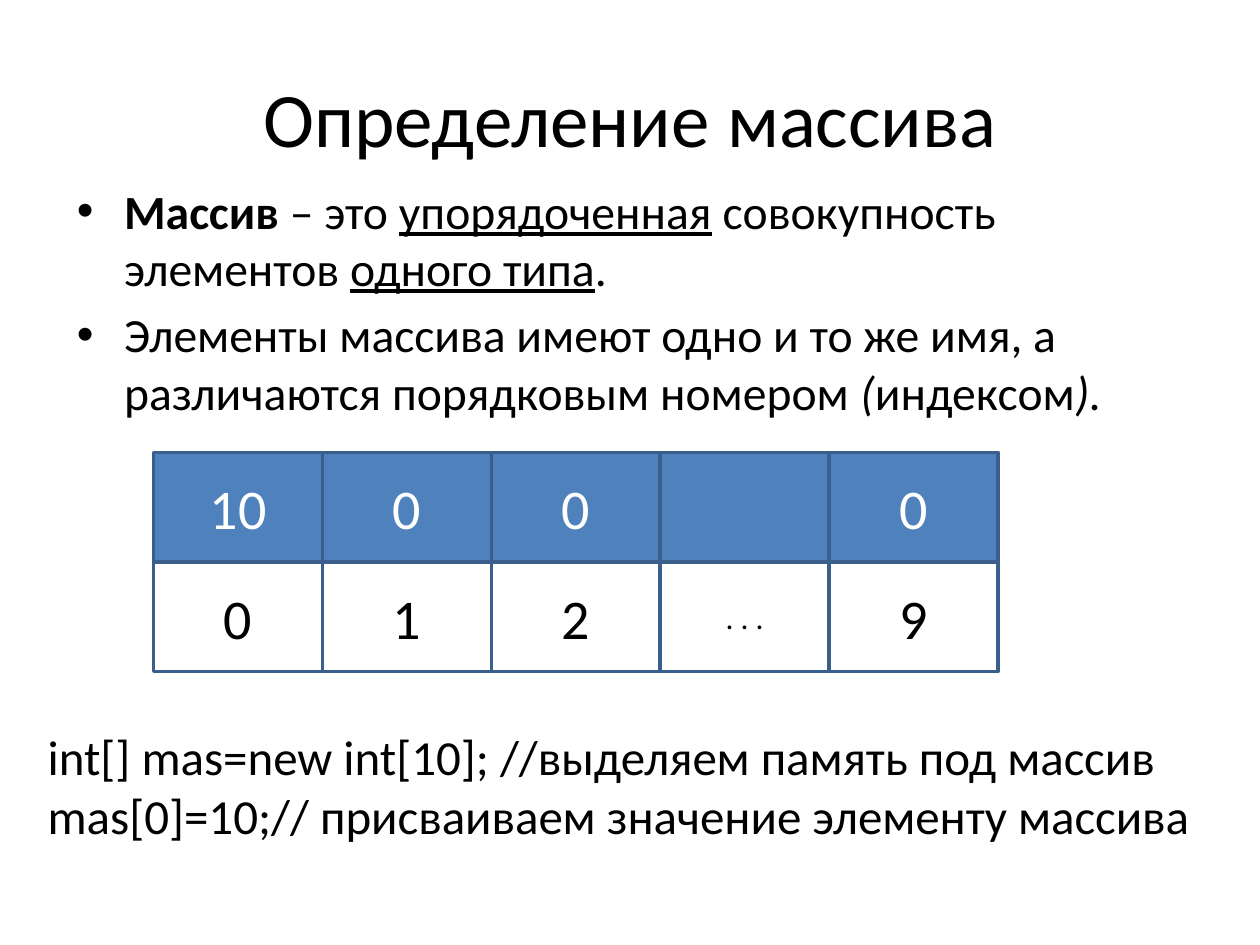
"""Build the slide that defines an array."""
from pptx import Presentation
from pptx.dml.color import RGBColor
from pptx.enum.shapes import MSO_SHAPE
from pptx.enum.text import MSO_ANCHOR, MSO_AUTO_SIZE, PP_ALIGN
from pptx.util import Inches, Pt


def rgb(value):
    return RGBColor.from_string(value)


def add_run(p, text, size=28, color="000000", **style):
    r = p.add_run()
    r.text = text
    r.font.name = "Calibri"
    r.font.size = Pt(size)
    r.font.color.rgb = rgb(color)
    for name, value in style.items():
        setattr(r.font, name, value)


prs = Presentation()
prs.slide_width, prs.slide_height = Inches(10), Inches(7.5)
slide = prs.slides.add_slide(prs.slide_layouts[1])

title, body = slide.placeholders
title.left, title.top = Inches(0.5), Inches(0.3)
title.width, title.height = Inches(9), Inches(1.25)
title.text_frame.vertical_anchor = MSO_ANCHOR.MIDDLE
p = title.text_frame.paragraphs[0]
p.alignment = PP_ALIGN.CENTER
add_run(p, "Определение массива", size=44)

body.left, body.top = Inches(0.51), Inches(1.39)
body.width, body.height = Inches(9), Inches(1.84)
bullets = [
    [("Массив", {"bold": True}), (" – это ", {}),
     ("упорядоченная", {"underline": True}),
     (" совокупность элементов ", {}),
     ("одного типа", {"underline": True}), (".", {})],
    [("Элементы массива имеют одно и то же имя, а различаются "
      "порядковым номером ", {}),
     ("(", {"italic": True}), ("индексом", {}), (").", {"italic": True})],
]
tf = body.text_frame
tf.auto_size = MSO_AUTO_SIZE.NONE
for i, runs in enumerate(bullets):
    p = tf.add_paragraph() if i else tf.paragraphs[0]
    for text, style in runs:
        add_run(p, text, size=27.2, **style)

cell_w, cell_h = 1.34, 0.87
rows = [
    (["10", "0", "0", "", "0"], "4F81BD", "FFFFFF"),
    (["0", "1", "2", ". . .", "9"], "FFFFFF", "000000"),
]
array = slide.shapes.add_group_shape()
for row, (values, fill, color) in enumerate(rows):
    for col, value in enumerate(values):
        sp = array.shapes.add_shape(
            MSO_SHAPE.RECTANGLE,
            Inches(1.22 + col * cell_w), Inches(3.59 + row * cell_h),
            Inches(cell_w), Inches(cell_h))
        sp.shadow.inherit = False
        sp.fill.solid()
        sp.fill.fore_color.rgb = rgb(fill)
        sp.line.color.rgb = rgb("3A5F8C")
        sp.line.width = Pt(2)
        if value:
            sp.text_frame.vertical_anchor = MSO_ANCHOR.MIDDLE
            p = sp.text_frame.paragraphs[0]
            p.alignment = PP_ALIGN.CENTER
            add_run(p, value, size=18 if value == ". . ." else 32, color=color)

code = slide.shapes.add_textbox(Inches(0.28), Inches(5.72), Inches(9.53), Inches(1.35))
tf = code.text_frame
tf.word_wrap = True
lines = [
    "int[] mas=new int[10]; //выделяем память под массив",
    "mas[0]=10;// присваиваем значение элементу массива",
]
for i, line in enumerate(lines):
    p = tf.add_paragraph() if i else tf.paragraphs[0]
    add_run(p, line)

prs.save("out.pptx")
